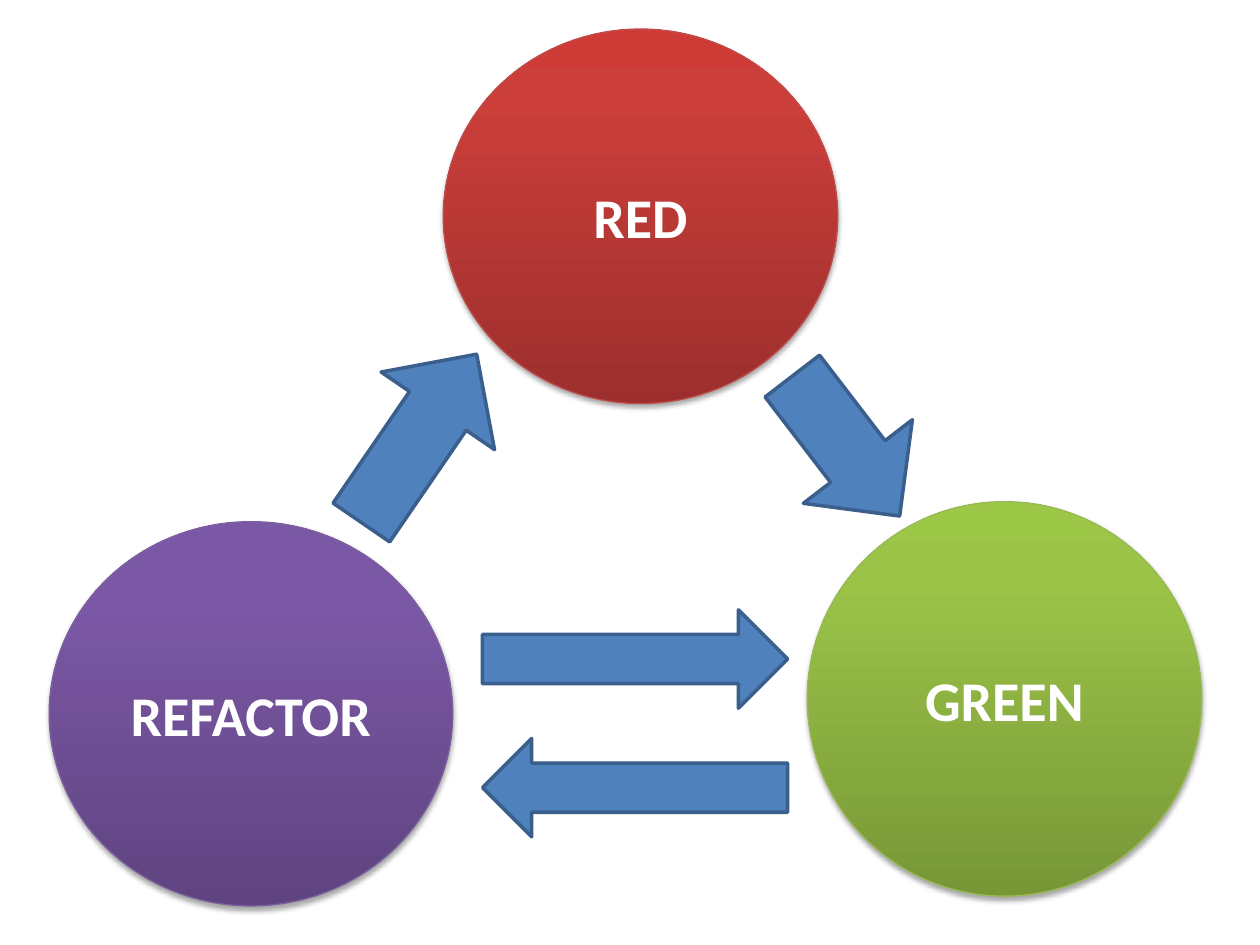
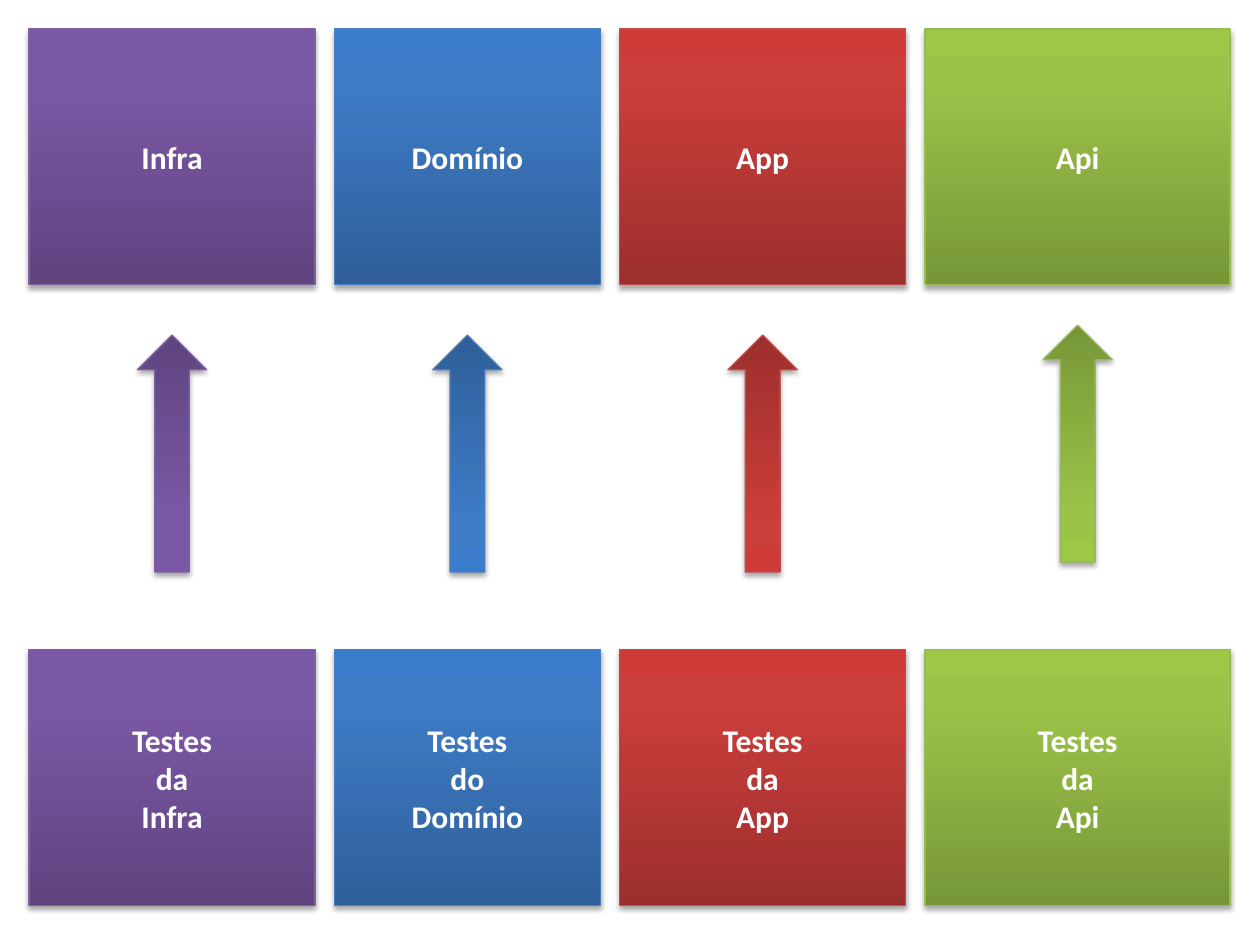
"""Build two slides: the test cycle and the tested layers."""
from copy import deepcopy

from lxml import etree
from pptx import Presentation
from pptx.dml.color import RGBColor
from pptx.enum.shapes import MSO_SHAPE
from pptx.enum.text import MSO_ANCHOR, PP_ALIGN
from pptx.oxml.ns import qn
from pptx.util import Pt

OVAL, RECT, ARROW = MSO_SHAPE.OVAL, MSO_SHAPE.RECTANGLE, MSO_SHAPE.DOWN_ARROW
MIDDLE, CENTER = MSO_ANCHOR.MIDDLE, PP_ALIGN.CENTER

RED = ("9C2F2D", "CB3E3A", "CE3B37", "BF4C48")
GREEN = ("779737", "9BC348", "9DC746", "98B955")
PURPLE = ("5F4480", "7B58A6", "7C57A8", "7D60A0")
BLUE = ("2F5F99", "3D7CC7", "3A7CCB", "4B7EBC")
STOPS = (0, 0.8, 1)
SHADOW = {"blurRad": Pt(3.1), "dist": Pt(1.8), "dir": 5400000, "rotWithShape": 0}


def rgb(code):
    return RGBColor.from_string(code)


def add(slide, kind, box, tones, text="", size=18, turn=0):
    shape = slide.shapes.add_shape(kind, *[Pt(n) for n in box])
    shape.rotation = turn
    shape.shadow.inherit = False
    shape.line.color.rgb = rgb(tones[-1])
    shape.line.width = Pt(0.75 if len(tones) > 2 else 2)
    if len(tones) > 2:
        shape.fill.gradient()
        shape.fill.gradient_angle = 90
        stops = next(shape.element.iter(qn("a:gsLst")))
        stops.append(deepcopy(stops[0]))
        for stop, spot, tone in zip(shape.fill.gradient_stops, STOPS, tones):
            stop.position = spot
            stop.color.rgb = rgb(tone)
        effects = next(shape.element.iter(qn("a:effectLst")))
        shade = etree.SubElement(effects, qn("a:outerShdw"))
        for key, value in SHADOW.items():
            shade.set(key, str(int(value)))
        black = etree.SubElement(shade, qn("a:srgbClr"), val="000000")
        etree.SubElement(black, qn("a:alpha"), val="35000")
    else:
        shape.fill.solid()
        shape.fill.fore_color.rgb = rgb(tones[0])
    if text:
        frame = shape.text_frame
        frame.text = text
        frame.word_wrap = True
        frame.vertical_anchor = MIDDLE
        style = {"name": "Calibri", "size": Pt(size), "bold": True}
        for para in frame.paragraphs:
            para.alignment = CENTER
            for run in para.runs:
                run.font.color.rgb = rgb("FFFFFF")
                for key, value in style.items():
                    setattr(run.font, key, value)
    return shape


deck = Presentation()
deck.slide_width, deck.slide_height = Pt(720), Pt(540)
blank = deck.slide_layouts[6]

cycle = deck.slides.add_slide(blank)
phases = [
    ("RED", RED, (253.3, 16.6, 225.4, 214)),
    ("GREEN", GREEN, (461.3, 286.7, 225.4, 225.4)),
    ("REFACTOR", PURPLE, (28.1, 298.1, 230.6, 219.6)),
]
for name, tones, box in phases:
    add(cycle, OVAL, box, tones, name, 32)

arrows = [
    (322.5, (444.2, 204.5, 78.5, 100.8)),
    (214.4, (200.2, 192.2, 78.5, 116.6)),
    (90, (334.8, 362.9, 56.2, 174.4)),
    (270, (334.8, 289.4, 56.2, 174.4)),
]
for turn, box in arrows:
    add(cycle, ARROW, box, ("4F81BD", "3A5F8C"), turn=turn)

layers = deck.slides.add_slide(blank)
columns = [
    ("Infra", "da", PURPLE, 163.4, 191.5),
    ("Domínio", "do", BLUE, 151.9, 191.5),
    ("App", "da", RED, 163.4, 191.5),
    ("Api", "da", GREEN, 174.4, 185.8),
]
left, gap, high = 16.6, 11.1, 146.2
thick, long = 39.6, 135.4
for name, link, tones, wide, top in columns:
    add(layers, RECT, (left, 16.6, wide, high), tones, name)
    add(layers, RECT, (left, 371.3, wide, high), tones, f"Testes\n{link}\n{name}")
    add(layers, ARROW, (left + (wide - thick) / 2, top, thick, long), tones, turn=180)
    left += wide + gap

deck.save("out.pptx")
